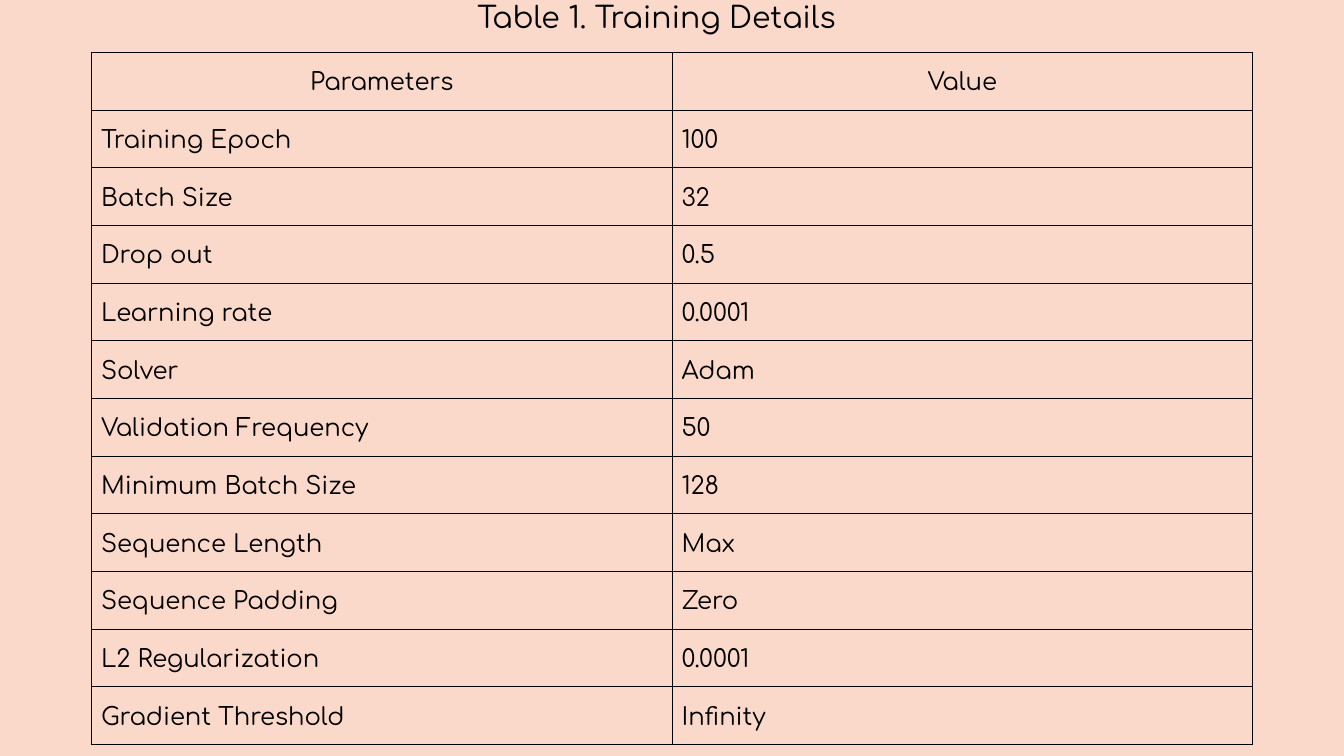
from lxml.etree import SubElement
from pptx import Presentation
from pptx.dml.color import RGBColor
from pptx.enum.text import MSO_ANCHOR, PP_ALIGN
from pptx.oxml.ns import qn
from pptx.util import Cm, Pt

ROWS = [
    ("Parameters", "Value"),
    ("Training Epoch", "100"),
    ("Batch Size", "32"),
    ("Drop out", "0.5"),
    ("Learning rate", "0.0001"),
    ("Solver", "Adam"),
    ("Validation Frequency", "50"),
    ("Minimum Batch Size", "128"),
    ("Sequence Length", "Max"),
    ("Sequence Padding", "Zero"),
    ("L2 Regularization", "0.0001"),
    ("Gradient Threshold", "Infinity"),
]


def colour(value):
    return RGBColor.from_string(value)


class TablePage:
    """Draws a titled table on one page in a single style."""

    font_name = "Comfortaa"
    ink = "000000"
    paper = "FAD9CA"
    border = Pt(0.6)

    def __init__(self, deck):
        self.page = deck.slides.add_slide(deck.slide_layouts[6])
        fill = self.page.background.fill
        fill.solid()
        fill.fore_color.rgb = colour(self.paper)

    def set_text(self, frame, text, size, align):
        para = frame.paragraphs[0]
        para.text = text
        para.alignment = align
        para.line_spacing = 1.15
        para.space_before = Pt(0)
        para.font.name = self.font_name
        para.font.size = Pt(size)
        para.font.color.rgb = colour(self.ink)

    def title(self, text, left, top, width, height):
        box = self.page.shapes.add_textbox(Cm(left), Cm(top), Cm(width), Cm(height))
        frame = box.text_frame
        frame.word_wrap = True
        frame.vertical_anchor = MSO_ANCHOR.TOP
        frame.margin_left = frame.margin_right = Cm(0.25)
        frame.margin_top = frame.margin_bottom = Cm(0.25)
        self.set_text(frame, text, 16, PP_ALIGN.CENTER)

    def outline(self, cell):
        properties = cell._tc.get_or_add_tcPr()
        for side in ("a:lnL", "a:lnR", "a:lnT", "a:lnB"):
            line = SubElement(properties, qn(side), w=str(self.border))
            fill = SubElement(line, qn("a:solidFill"))
            SubElement(fill, qn("a:srgbClr"), val=self.ink)

    def cell(self, cell, text, align):
        cell.margin_left = cell.margin_right = Cm(0.18)
        cell.margin_top = cell.margin_bottom = Cm(0.25)
        self.outline(cell)
        cell.fill.background()
        self.set_text(cell.text_frame, text, 13, align)

    def table(self, rows, left, top, column_width, row_height):
        columns = len(rows[0])
        table = self.page.shapes.add_table(
            len(rows), columns, Cm(left), Cm(top),
            Cm(column_width * columns), Cm(row_height * len(rows)),
        ).table
        table.horz_banding = False
        table.first_row = False
        for row_index, texts in enumerate(rows):
            align = PP_ALIGN.LEFT if row_index else PP_ALIGN.CENTER
            for column_index, text in enumerate(texts):
                self.cell(table.cell(row_index, column_index), text, align)


def main():
    deck = Presentation()
    deck.slide_width, deck.slide_height = Cm(25.4), Cm(14.29)
    page = TablePage(deck)
    page.table(ROWS, 1.73, 0.99, 10.97, 1.09)
    page.title("Table 1. Training Details", 8.46, -0.38, 7.9, 2.74)
    deck.save("out.pptx")


if __name__ == "__main__":
    main()
